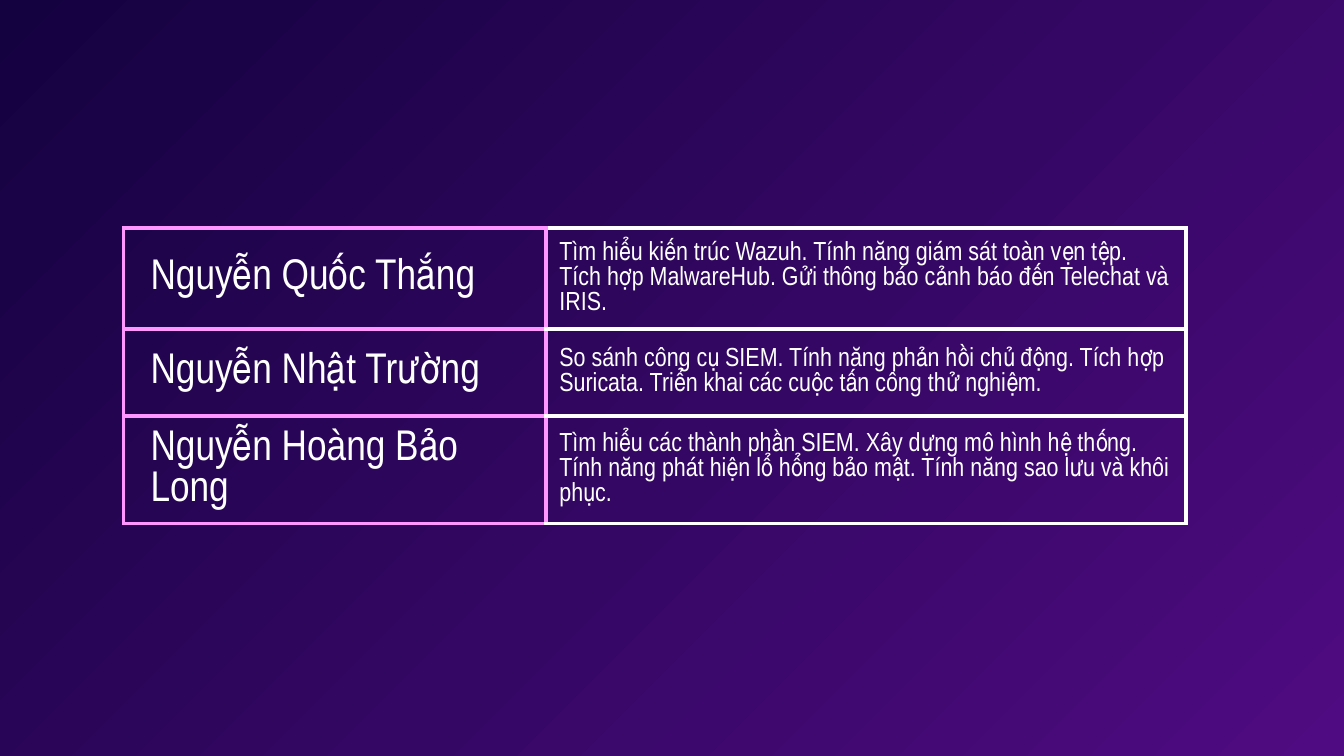
import pptx
import pptx.dml.color
import pptx.enum.text
import pptx.oxml.ns
import pptx.util
from lxml import etree

Pt = pptx.util.Pt
FONT = "Arial Narrow"
PINK = "FF96FF"
WHITE = "FFFFFF"
MEMBERS = [
    ("Nguyễn Quốc Thắng",
     "Tìm hiểu kiến trúc Wazuh. Tính năng giám sát toàn vẹn tệp. Tích hợp MalwareHub. "
     "Gửi thông báo cảnh báo đến Telechat và IRIS."),
    ("Nguyễn Nhật Trường",
     "So sánh công cụ SIEM. Tính năng phản hồi chủ động. Tích hợp Suricata. "
     "Triển khai các cuộc tấn công thử nghiệm."),
    ("Nguyễn Hoàng Bảo Long",
     "Tìm hiểu các thành phần SIEM. Xây dựng mô hình hệ thống. "
     "Tính năng phát hiện lổ hổng bảo mật. Tính năng sao lưu và khôi phục."),
]


def rgb(color):
    return pptx.dml.color.RGBColor.from_string(color)


def set_background(s, start, end):
    fill = s.background.fill
    fill.gradient()
    fill.gradient_angle = 315
    for stop, color in zip(fill.gradient_stops, (start, end)):
        stop.color.rgb = rgb(color)


def set_borders(cell, width=2.25, **colors):
    qn = pptx.oxml.ns.qn
    tc_pr = cell._tc.get_or_add_tcPr()
    for side in "LRTB":
        ln = etree.SubElement(tc_pr, qn(f"a:ln{side}"), w=str(Pt(width)))
        fill = etree.SubElement(ln, qn("a:solidFill"))
        etree.SubElement(fill, qn("a:srgbClr"), val=colors[side])


def write_text(cell, text, size=14, color=WHITE, left=7.2, margin=7.2):
    cell.margin_left = Pt(left)
    cell.margin_right = cell.margin_top = cell.margin_bottom = Pt(margin)
    cell.vertical_anchor = pptx.enum.text.MSO_ANCHOR.MIDDLE
    p = cell.text_frame.paragraphs[0]
    r = p.add_run()
    r.text = text
    for font in (p.font, r.font):
        font.name = FONT
        font.size = Pt(size)
        font.color.rgb = rgb(color)


def add_member_table(s, left, top, widths, heights):
    frame = s.shapes.add_table(len(MEMBERS), len(widths), Pt(left), Pt(top),
                               Pt(sum(widths)), Pt(sum(heights)))
    table = frame.table
    table.first_row = table.horz_banding = False
    for column, width in zip(table.columns, widths):
        column.width = Pt(width)
    for row, height, (name, tasks) in zip(table.rows, heights, MEMBERS):
        row.height = Pt(height)
        name_cell, task_cell = row.cells
        set_borders(name_cell, L=PINK, R=PINK, T=PINK, B=PINK)
        set_borders(task_cell, L=PINK, R=WHITE, T=WHITE, B=WHITE)
        write_text(name_cell, name, size=23, left=14.4)
        write_text(task_cell, tasks)
        for cell in row.cells:
            cell.fill.background()


def main():
    prs = pptx.Presentation()
    prs.slide_width, prs.slide_height = Pt(720), Pt(405)
    s = prs.slides.add_slide(prs.slide_layouts[6])
    set_background(s, "140240", "4F0B81")
    add_member_table(s, 66.25, 122.25, widths=(226.25, 343), heights=(45.5, 46.5, 46.5))
    prs.save("out.pptx")


if __name__ == "__main__":
    main()
